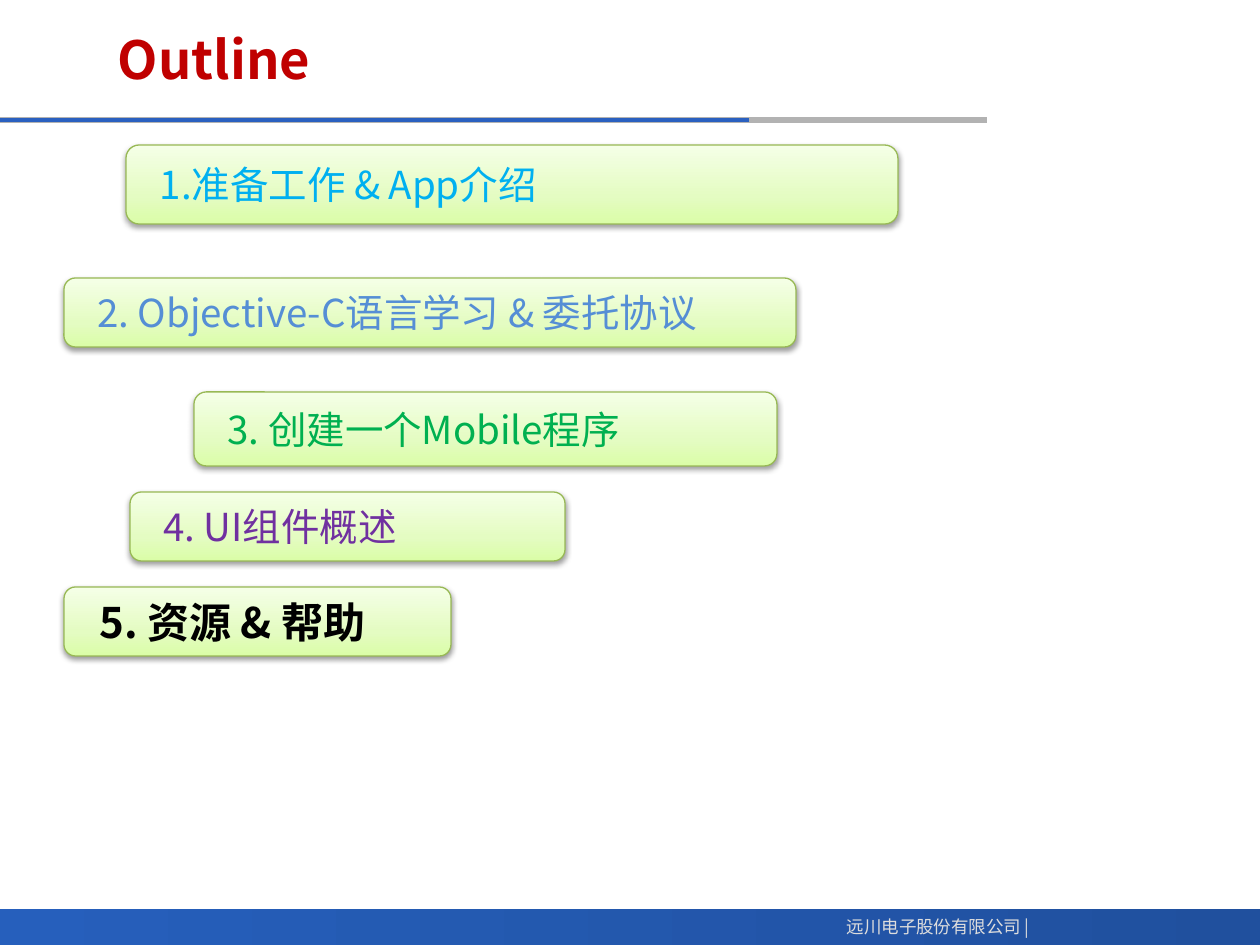
"""Build the course outline slide with five staggered topic bars."""
from copy import deepcopy

from lxml.etree import SubElement
from pptx import Presentation
from pptx.dml.color import RGBColor
from pptx.enum.shapes import MSO_CONNECTOR, MSO_SHAPE
from pptx.enum.text import MSO_ANCHOR, PP_ALIGN
from pptx.oxml.ns import qn
from pptx.util import Pt

PX = 914400 // 126
FONT = "Noto Sans CJK SC"
COLORS = {
    "title": "C00000", "rule": "2A60C0", "rule_tail": "B2B2B2",
    "footer_start": "265FBC", "footer_end": "20509E", "footer_text": "DDDDDD",
    "bar_bottom": "DAFDA7", "bar_middle": "E4FCC2", "bar_top": "F5FFE7",
    "bar_edge": "98B955", "sky": "00B0F0", "blue": "558ED5",
    "green": "00B050", "purple": "7030A0", "black": "000000",
}


def fill_gradient(shape, stops, angle):
    shape.fill.gradient()
    shape.fill.gradient_angle = angle
    stop_list = next(shape.element.spPr.iter(qn("a:gsLst")))
    while len(stop_list) < len(stops):
        stop_list.append(deepcopy(stop_list[-1]))
    for stop, (position, color) in zip(shape.fill.gradient_stops, stops):
        stop.position = position
        stop.color.rgb = RGBColor.from_string(COLORS[color])


def write(shape, text, size, color, bold=False, left=13, align=PP_ALIGN.LEFT):
    frame = shape.text_frame
    frame.text = text
    frame.vertical_anchor = MSO_ANCHOR.MIDDLE
    frame.margin_left = left * PX
    paragraph = frame.paragraphs[0]
    paragraph.alignment = align
    font = paragraph.runs[0].font
    font.name, font.size, font.bold = FONT, Pt(size), bold
    font.color.rgb = RGBColor.from_string(COLORS[color])
    SubElement(paragraph.runs[0].font._element, qn("a:ea"), typeface=FONT)


deck = Presentation()
deck.slide_width, deck.slide_height = 1260 * PX, 945 * PX
slide = deck.slides.add_slide(deck.slide_layouts[6])
shapes = slide.shapes

footer = shapes.add_shape(MSO_SHAPE.RECTANGLE, 0, 909 * PX, 1260 * PX, 36 * PX)
footer.shadow.inherit = False
footer.line.fill.background()
fill_gradient(footer, [(0, "footer_start"), (1, "footer_end")], 0)

for end, width, color in [(987, 3, "rule_tail"), (749, 2.25, "rule")]:
    rule = shapes.add_connector(MSO_CONNECTOR.STRAIGHT, 0, 120 * PX, end * PX, 120 * PX)
    rule.line.width = Pt(width)
    rule.line.color.rgb = RGBColor.from_string(COLORS[color])
    SubElement(rule.element.spPr, qn("a:effectLst"))

company = shapes.add_textbox(824 * PX, 910 * PX, 218 * PX, 34 * PX)
company.text_frame.word_wrap = False
write(company, "远川电子股份有限公司 |", 10, "footer_text", align=PP_ALIGN.RIGHT)

title = shapes.add_textbox(105 * PX, 16 * PX, 620 * PX, 84 * PX)
title.text_frame.word_wrap = True
write(title, "Outline", 30, "title", bold=True)

topics = [
    (126, 145, 772, 79, "1.准备工作 & App介绍", 22, "sky", False, 30),
    (64, 278, 732, 69, "2. Objective-C语言学习 & 委托协议", 22, "blue", False, 30),
    (194, 392, 583, 74, "3. 创建一个Mobile程序", 22, "green", False, 30),
    (130, 492, 435, 69, "4. UI组件概述", 22, "purple", False, 30),
    (64, 587, 387, 69, "5. 资源 & 帮助", 24, "black", True, 32),
]
for x, y, width, height, text, size, color, bold, indent in topics:
    topic = shapes.add_shape(
        MSO_SHAPE.ROUNDED_RECTANGLE, x * PX, y * PX, width * PX, height * PX)
    fill_gradient(topic, [(0, "bar_bottom"), (0.35, "bar_middle"), (1, "bar_top")], 90)
    topic.line.width = Pt(0.75)
    topic.line.color.rgb = RGBColor.from_string(COLORS["bar_edge"])
    topic.shadow.inherit = False
    effects = topic.element.spPr.find(qn("a:effectLst"))
    shadow = SubElement(effects, qn("a:outerShdw"), blurRad="40000", dist="20000",
                        dir="5400000", rotWithShape="0")
    shade = SubElement(shadow, qn("a:srgbClr"), val=COLORS["black"])
    SubElement(shade, qn("a:alpha"), val="38000")
    write(topic, text, size, color, bold, indent)

deck.save("out.pptx")
